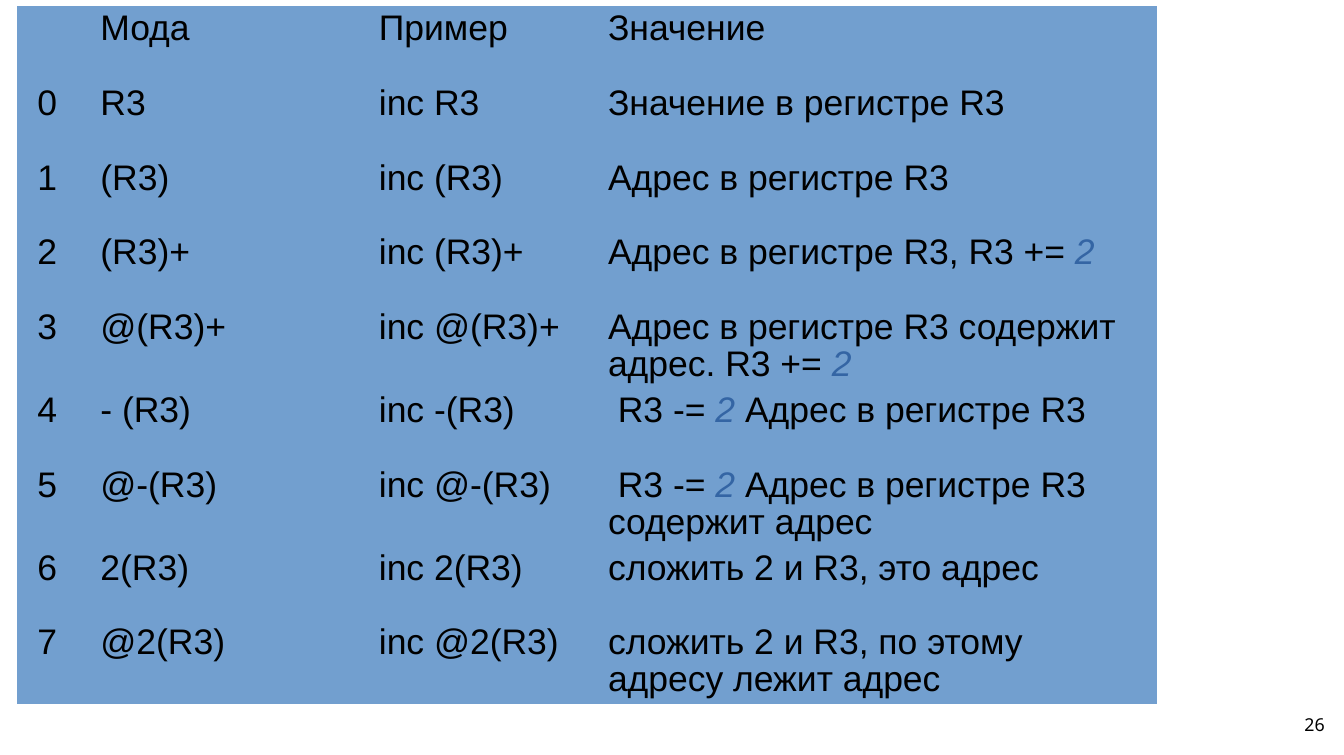
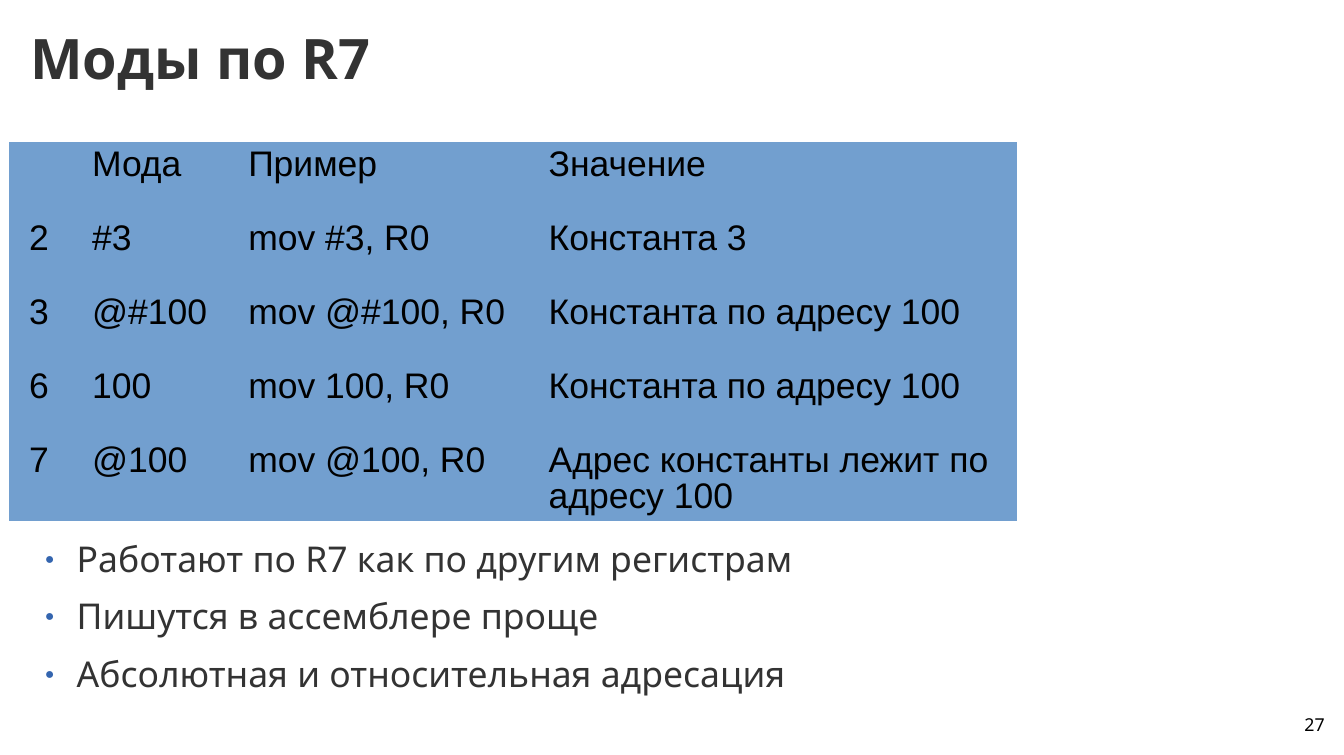
from lxml.etree import SubElement
from pptx import Presentation
from pptx.dml.color import RGBColor
from pptx.enum.text import MSO_ANCHOR, MSO_AUTO_SIZE, PP_ALIGN
from pptx.oxml.ns import qn
from pptx.util import Inches, Pt

SLIDE_WIDTH, SLIDE_HEIGHT = 14.72, 8.27
TABLE_FILL, BULLET_COLOR = "729FCF", "3465AF"
NO_STYLE_NO_GRID = "{2D5ABB26-0587-4C30-8999-92F81FD0307C}"
LINE_SPACING = 0.93

CELL = {"name": "Arial", "size": Pt(28), "bold": False, "italic": False, "color": "000000"}
OPERAND = CELL | {"italic": True, "color": "3465A4"}
TITLE = {"name": "Noto Sans", "size": Pt(44), "bold": True, "color": "333333"}
BODY = {"name": "Noto Sans", "size": Pt(28), "bold": False, "color": "333333"}
PAGE_NUMBER = {"name": "Noto Sans", "size": Pt(14), "color": "000000"}

HEADER = ["", "Мода", "Пример", "Значение"]
REGISTER_MODES = [
    HEADER,
    ["0", "R3", "inc R3", "Значение в регистре R3"],
    ["1", "(R3)", "inc (R3)", "Адрес в регистре R3"],
    ["2", "(R3)+", "inc (R3)+", "Адрес в регистре R3, R3 += *2*"],
    ["3", "@(R3)+", "inc @(R3)+", "Адрес в регистре R3 содержит адрес. R3 += *2*"],
    ["4", "- (R3)", "inc -(R3)", " R3 -= *2 *Адрес в регистре R3"],
    ["5", "@-(R3)", "inc @-(R3)", " R3 -= *2 *Адрес в регистре R3 содержит адрес"],
    ["6", "2(R3)", "inc 2(R3)", "сложить 2 и R3, это адрес"],
    ["7", "@2(R3)", "inc @2(R3)", "сложить 2 и R3, по этому адресу лежит адрес"],
]
R7_MODES = [
    HEADER,
    ["2", "#3", "mov #3, R0", "Константа 3"],
    ["3", "@#100", "mov @#100, R0", "Константа по адресу 100"],
    ["6", "100", "mov 100, R0", "Константа по адресу 100"],
    ["7", "@100", "mov @100, R0", "Адрес константы лежит по адресу 100"],
]
R7_NOTES = [
    "Работают по R7 как по другим регистрам",
    "Пишутся в ассемблере проще",
    "Абсолютная и относительная адресация",
]


def rgb(color):
    return RGBColor.from_string(color)


def set_attributes(target, values):
    for name, value in values.items():
        setattr(target, name, value)


def add_run(paragraph, text, style):
    run = paragraph.add_run()
    run.text = text
    set_attributes(run.font, {key: value for key, value in style.items() if key != "color"})
    run.font.color.rgb = rgb(style["color"])


def set_frame(text_frame, top_margin=0, anchor=MSO_ANCHOR.TOP):
    set_attributes(text_frame, {
        "word_wrap": True, "auto_size": MSO_AUTO_SIZE.NONE, "vertical_anchor": anchor,
        "margin_left": 0, "margin_right": 0, "margin_bottom": 0,
        "margin_top": Inches(top_margin),
    })


def place(shape, left, top, width, height):
    set_attributes(shape, {"left": Inches(left), "top": Inches(top),
                           "width": Inches(width), "height": Inches(height)})


def format_paragraph(paragraph, alignment=PP_ALIGN.LEFT, space_after=0):
    set_attributes(paragraph, {"alignment": alignment, "line_spacing": LINE_SPACING,
                               "space_before": Pt(0), "space_after": Pt(space_after)})


def fill_cell(cell, text):
    """Text between asterisks is set as an operand."""
    cell.fill.solid()
    cell.fill.fore_color.rgb = rgb(TABLE_FILL)
    cell.margin_left = Inches(0.22)
    paragraph = cell.text_frame.paragraphs[0]
    format_paragraph(paragraph)
    for index, part in enumerate(text.split("*")):
        if part:
            add_run(paragraph, part, OPERAND if index % 2 else CELL)


def add_mode_table(slide, rows, left, top, widths, row_height, tall_rows, tall_height=0.9):
    heights = [tall_height if index in tall_rows else row_height for index in range(len(rows))]
    frame = slide.shapes.add_table(len(rows), len(widths), Inches(left), Inches(top),
                                   Inches(sum(widths)), Inches(sum(heights)))
    table = frame.table
    set_attributes(table, {"first_row": False, "horz_banding": False})
    for style_id in frame.element.iter(qn("a:tableStyleId")):
        style_id.text = NO_STYLE_NO_GRID
    for column, width in zip(table.columns, widths):
        column.width = Inches(width)
    for row, height, texts in zip(table.rows, heights, rows):
        row.height = Inches(height)
        for cell, text in zip(row.cells, texts):
            fill_cell(cell, text)


def set_title(slide, text):
    title = slide.shapes.title
    place(title, 0.33, 0.23, 14.16, 0.83)
    set_frame(title.text_frame, 0.04, MSO_ANCHOR.MIDDLE)
    paragraph = title.text_frame.paragraphs[0]
    format_paragraph(paragraph)
    add_run(paragraph, text, TITLE)


def add_bullet(paragraph):
    properties = paragraph._p.get_or_add_pPr()
    properties.set("marL", str(Inches(0.47)))
    properties.set("indent", str(Inches(-0.35)))
    color = SubElement(properties, qn("a:buClr"))
    SubElement(color, qn("a:srgbClr"), val=BULLET_COLOR)
    SubElement(properties, qn("a:buSzPct"), val="45000")
    SubElement(properties, qn("a:buChar"), char="●")


def set_bullets(slide, texts):
    body = slide.placeholders[1]
    place(body, 0.37, 5.89, 10.89, 1.95)
    text_frame = body.text_frame
    set_frame(text_frame, 0.03)
    for index, text in enumerate(texts):
        paragraph = text_frame.add_paragraph() if index else text_frame.paragraphs[0]
        add_bullet(paragraph)
        format_paragraph(paragraph, space_after=14.1)
        add_run(paragraph, text, BODY)


def add_page_number(slide, number):
    box = slide.shapes.add_textbox(0, 0, 0, 0)
    place(box, 11.08, 7.84, 3.43, 0.3)
    set_frame(box.text_frame)
    paragraph = box.text_frame.paragraphs[0]
    format_paragraph(paragraph, PP_ALIGN.RIGHT)
    add_run(paragraph, str(number), PAGE_NUMBER)


def main():
    presentation = Presentation()
    presentation.slide_width = Inches(SLIDE_WIDTH)
    presentation.slide_height = Inches(SLIDE_HEIGHT)
    content_layout, blank_layout = presentation.slide_layouts[1], presentation.slide_layouts[6]

    register_slide = presentation.slides.add_slide(blank_layout)
    add_mode_table(register_slide, REGISTER_MODES, 0.19, 0.07, [0.69, 3.05, 2.51, 6.23],
                   row_height=0.82, tall_rows={4, 6, 8})

    r7_slide = presentation.slides.add_slide(content_layout)
    add_mode_table(r7_slide, R7_MODES, 0.1, 1.56, [0.69, 1.71, 3.29, 5.35],
                   row_height=0.81, tall_rows={4})
    set_title(r7_slide, "Моды по R7")
    set_bullets(r7_slide, R7_NOTES)

    for number, slide in enumerate(presentation.slides, start=26):
        add_page_number(slide, number)
    presentation.save("out.pptx")


if __name__ == "__main__":
    main()
